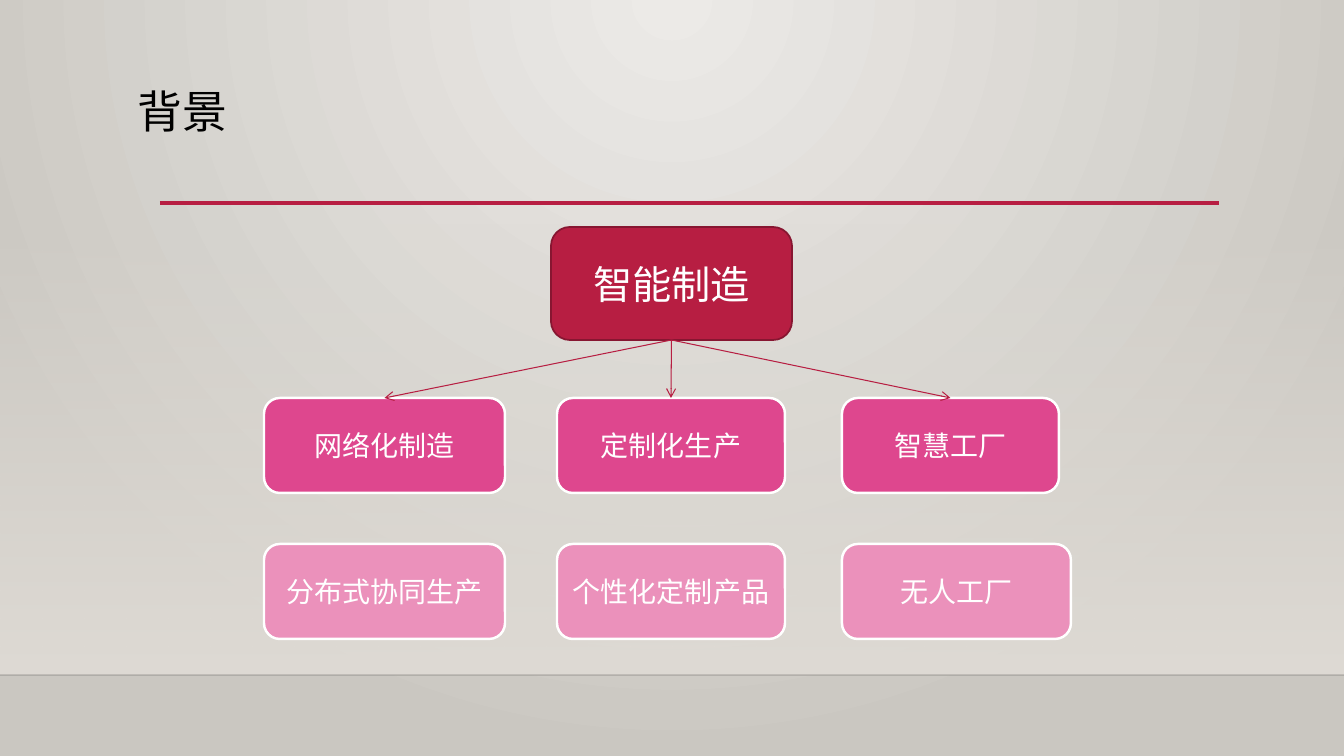
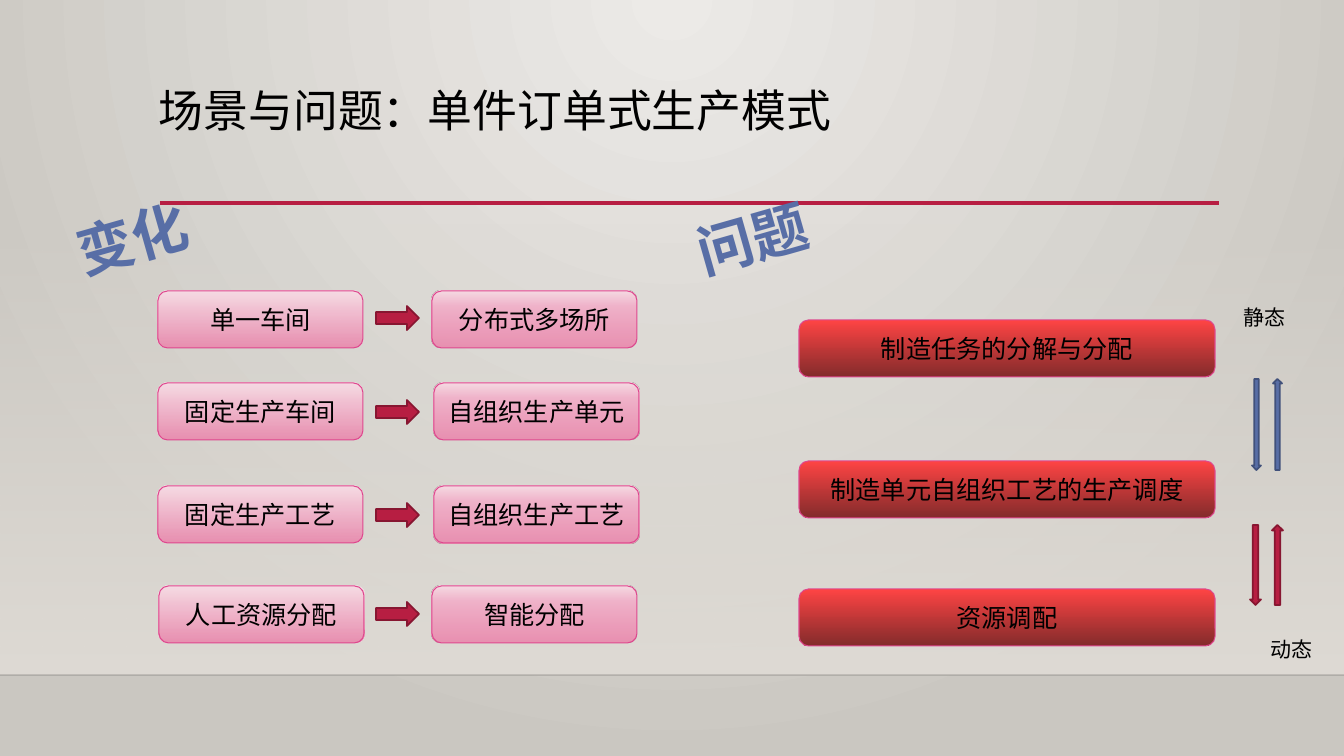
import lxml.etree
import pptx
import pptx.dml.color
import pptx.enum.shapes
import pptx.enum.text
import pptx.oxml.ns
import pptx.util

RGB = pptx.dml.color.RGBColor
SHAPE = pptx.enum.shapes.MSO_SHAPE
STRAIGHT = pptx.enum.shapes.MSO_CONNECTOR.STRAIGHT
ALIGN = pptx.enum.text.PP_ALIGN
MIDDLE = pptx.enum.text.MSO_ANCHOR.MIDDLE
Pt = pptx.util.Pt
qn = pptx.oxml.ns.qn
SubElement = lxml.etree.SubElement

PX = 914400 / 100.8
WIDTH, HEIGHT = 1344, 756
FONT = "Calibri"

BLACK = RGB(0x00, 0x00, 0x00)
WHITE = RGB(0xFF, 0xFF, 0xFF)
CRIMSON = RGB(0xB7, 0x1E, 0x42)
DARK_CRIMSON = RGB(0x87, 0x16, 0x31)
PINK = RGB(0xDE, 0x47, 0x8E)
LIGHT_PINK = RGB(0xEB, 0x91, 0xBB)
BLUE = RGB(0x58, 0x6E, 0xA6)
DARK_BLUE = RGB(0x41, 0x51, 0x7B)
SAND = RGB(0xDF, 0xDB, 0xD5)
PALE_ROSE = RGB(0xF7, 0xDC, 0xE5)
MID_ROSE = RGB(0xF1, 0xB3, 0xCA)
ROSE = RGB(0xEA, 0x8A, 0xAE)

# Gradient stops: position and opacity in percent
BACKDROP = [(0, RGB(0xEC, 0xEA, 0xE7), 100), (100, RGB(0xCA, 0xC7, 0xC1), 100)]
WALL = [(0, SAND, 0), (100, SAND, 100)]
BEFORE = [(0, PALE_ROSE, 100), (100, ROSE, 92)]
AFTER = [(0, PALE_ROSE, 100), (27, MID_ROSE, 100), (100, ROSE, 92)]
RED = [(0, RGB(0xFE, 0x44, 0x44), 100), (100, RGB(0x83, 0x2B, 0x2B), 100)]


def set_gradient(element, stops, radial=False):
    """Refill the gradient inside element, running downwards or out from the top centre."""
    gradient = element.find(".//" + qn("a:gradFill"))
    for child in list(gradient):
        gradient.remove(child)
    stop_list = SubElement(gradient, qn("a:gsLst"))
    for position, color, opacity in stops:
        stop = SubElement(stop_list, qn("a:gs"), pos=str(position * 1000))
        color_node = SubElement(stop, qn("a:srgbClr"), val=str(color))
        if opacity < 100:
            SubElement(color_node, qn("a:alpha"), val=str(opacity * 1000))
    if radial:
        circle = SubElement(gradient, qn("a:path"), path="circle")
        SubElement(circle, qn("a:fillToRect"), l="43000", t="0", r="43000", b="100000")
    else:
        SubElement(gradient, qn("a:lin"), ang="5400000", scaled="0")


def add_block(slide, kind, frame, fill, outline=None, weight=1.25,
              text="", size=18, color=BLACK):
    """Add a preset shape; frame is in px, fill is a colour or a list of stops."""
    block = slide.shapes.add_shape(kind, *[round(length * PX) for length in frame])
    block.shadow.inherit = False
    if isinstance(fill, list):
        block.fill.gradient()
        set_gradient(block._element, fill)
    else:
        block.fill.solid()
        block.fill.fore_color.rgb = fill
    if outline is None:
        block.line.fill.background()
    else:
        block.line.color.rgb = outline
        block.line.width = Pt(weight)
    if text:
        block.text_frame.text = text
        block.text_frame.vertical_anchor = MIDDLE
        paragraph = block.text_frame.paragraphs[0]
        paragraph.alignment = ALIGN.CENTER
        paragraph.font.name = FONT
        paragraph.font.size = Pt(size)
        paragraph.font.color.rgb = color
    return block


prs = pptx.Presentation()
prs.slide_width = round(WIDTH * PX)
prs.slide_height = round(HEIGHT * PX)
master = prs.slide_master
master.background.fill.gradient()
set_gradient(master._element.find(".//" + qn("p:bgPr")), BACKDROP, radial=True)

# Wall, floor line, title rule and title of every slide
for title, title_left, title_top in [
    ("背景", 128, 85),
    ("场景与问题：单件订单式生产模式", 149, 84),
]:
    slide = prs.slides.add_slide(prs.slide_layouts[6])
    add_block(slide, SHAPE.RECTANGLE, (0, 223, WIDTH, 452), WALL)
    for left, right, y, color, weight, opacity in [
        (0, WIDTH, 675, BLACK, 1, 20),
        (160, 1219, 203, CRIMSON, 2.5, 100),
    ]:
        rule = slide.shapes.add_connector(
            STRAIGHT, *[round(length * PX) for length in (left, y, right, y)])
        rule.line.color.rgb = color
        rule.line.width = Pt(weight)
        SubElement(rule._element.spPr, qn("a:effectLst"))
        color_node = rule._element.spPr.find(".//" + qn("a:srgbClr"))
        SubElement(color_node, qn("a:alpha"), val=str(opacity * 1000))
    heading = slide.shapes.add_textbox(
        *[round(length * PX) for length in (title_left, title_top, 1058, 116)])
    heading.text_frame.word_wrap = True
    heading.text_frame.text = title
    paragraph = heading.text_frame.paragraphs[0]
    paragraph.line_spacing = 0.9
    paragraph.font.name = FONT
    paragraph.font.size = Pt(32)
    paragraph.font.color.rgb = BLACK

background_slide, problem_slide = prs.slides

# Slide 1: smart manufacturing and its three branches
root = add_block(background_slide, SHAPE.ROUNDED_RECTANGLE, (551, 227, 241, 113),
                 CRIMSON, DARK_CRIMSON, text="智能制造", size=28, color=WHITE)
for left, branch, branch_width, result, result_width in [
    (264, "网络化制造", 241, "分布式协同生产", 241),
    (557, "定制化生产", 228, "个性化定制产品", 228),
    (842, "智慧工厂", 217, "无人工厂", 229),
]:
    branch_box = add_block(background_slide, SHAPE.ROUNDED_RECTANGLE,
                           (left, 398, branch_width, 95), PINK, WHITE, 1.75,
                           branch, 20, WHITE)
    add_block(background_slide, SHAPE.ROUNDED_RECTANGLE, (left, 544, result_width, 95),
              LIGHT_PINK, WHITE, 1.75, result, 20, WHITE)
    arrow = background_slide.shapes.add_connector(STRAIGHT, 0, 0, 0, 0)
    arrow.begin_connect(root, 2)
    arrow.end_connect(branch_box, 0)
    arrow.line.color.rgb = CRIMSON
    arrow.line.width = Pt(0.75)
    SubElement(arrow.line._get_or_add_ln(), qn("a:tailEnd"), type="arrow")
    SubElement(arrow._element.spPr, qn("a:effectLst"))

# Slide 2: what changes
for top, before, before_left, arrow_top, after, after_left in [
    (291, "单一车间", 158, 306, "分布式多场所", 432),
    (383, "固定生产车间", 158, 400, "自组织生产单元", 434),
    (486, "固定生产工艺", 158, 503, "自组织生产工艺", 434),
    (586, "人工资源分配", 159, 602, "智能分配", 432),
]:
    for left, stops, text in [(before_left, BEFORE, before), (after_left, AFTER, after)]:
        add_block(problem_slide, SHAPE.ROUNDED_RECTANGLE, (left, top, 205, 57),
                  stops, PINK, 0.75, text)
    add_block(problem_slide, SHAPE.RIGHT_ARROW, (376, arrow_top, 43, 24),
              CRIMSON, DARK_CRIMSON)

# Slide 2: the problems, from static to dynamic
for top, problem in [
    (320, "制造任务的分解与分配"),
    (461, "制造单元自组织工艺的生产调度"),
    (589, "资源调配"),
]:
    add_block(problem_slide, SHAPE.ROUNDED_RECTANGLE, (799, top, 416, 57),
              RED, PINK, 0.75, problem)

for down_left, up_left, top, width, height, fill, outline in [
    (1252, 1273, 379, 9, 91, BLUE, DARK_BLUE),
    (1250, 1272, 525, 11, 80, CRIMSON, DARK_CRIMSON),
]:
    for kind, left in [(SHAPE.DOWN_ARROW, down_left), (SHAPE.UP_ARROW, up_left)]:
        add_block(problem_slide, kind, (left, top, width, height), fill, outline)

for text, frame, size, color, bold, rotation, alignment in [
    ("静态", (1234, 300, 62, 35), 15, BLACK, False, 0, ALIGN.LEFT),
    ("动态", (1261, 632, 62, 35), 15, BLACK, False, 0, ALIGN.LEFT),
    ("变化", (66, 199, 132, 78), 40, BLUE, True, 344, ALIGN.CENTER),
    ("问题", (686, 199, 132, 78), 40, BLUE, True, 344, ALIGN.CENTER),
]:
    label = problem_slide.shapes.add_textbox(*[round(length * PX) for length in frame])
    label.rotation = rotation
    label.text_frame.word_wrap = False
    label.text_frame.text = text
    paragraph = label.text_frame.paragraphs[0]
    paragraph.alignment = alignment
    paragraph.font.name = FONT
    paragraph.font.size = Pt(size)
    paragraph.font.bold = bold
    paragraph.font.color.rgb = color

prs.save("out.pptx")
